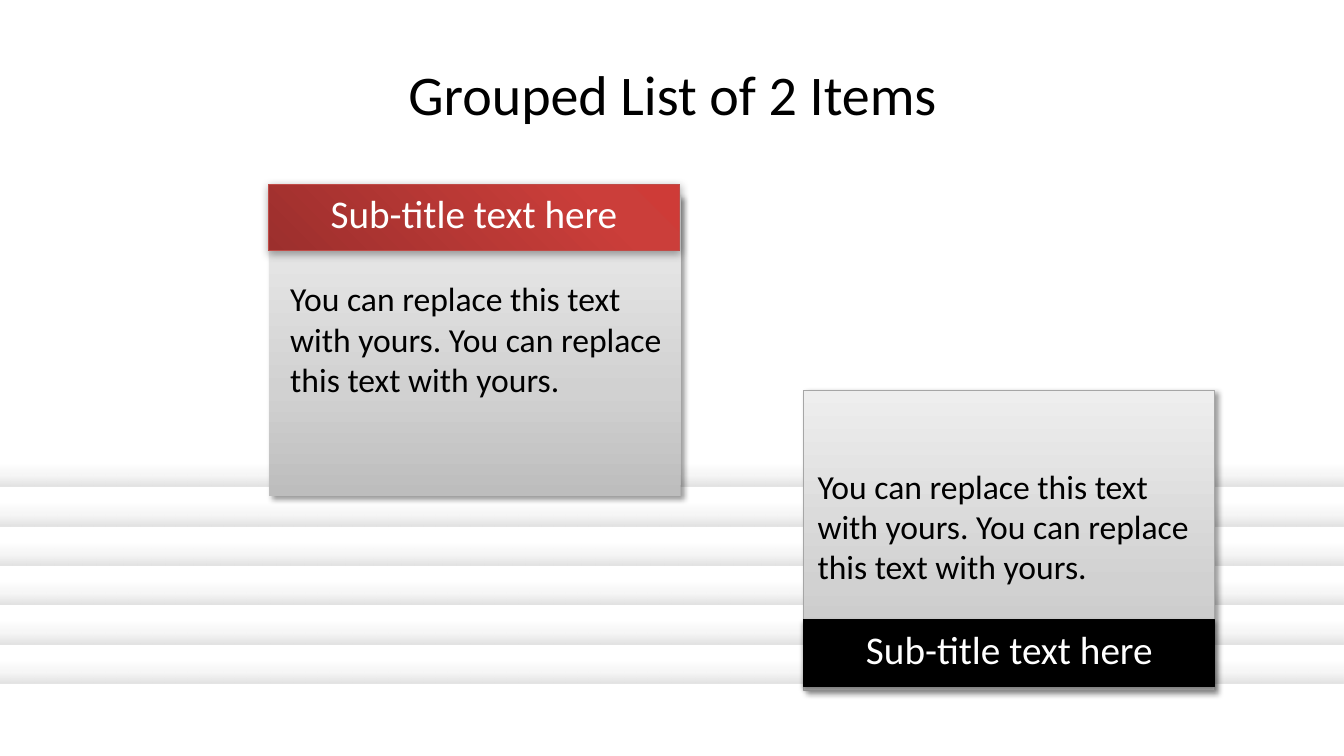
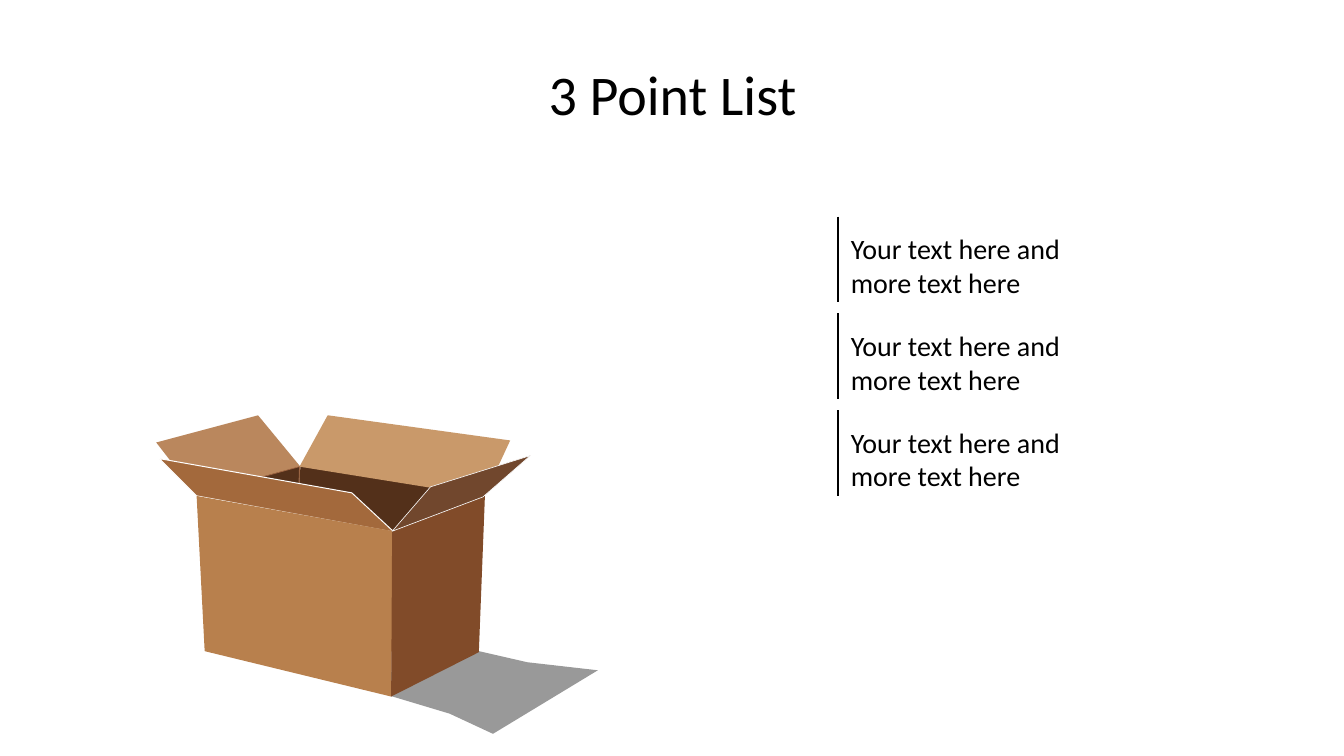
from lxml.etree import SubElement
from pptx import Presentation
from pptx.dml.color import RGBColor
from pptx.enum.shapes import MSO_CONNECTOR, MSO_SHAPE
from pptx.enum.text import MSO_ANCHOR, PP_ALIGN
from pptx.oxml.ns import qn
from pptx.util import Inches, Pt

COLORS = {
    "ink": "000000",
    "paper": "FFFFFF",
    "red_edge": "BF4C48",
    "panel_edge": "A6A6A6",
    "flap_back_left": "BA875D",
    "flap_back_right": "C9996A",
    "flap_front": "A3693C",
    "flap_side": "71472D",
    "flap_side_edge": "F8F8F8",
    "inside": "53301A",
    "crease": "A16644",
    "front": "B8804D",
    "side": "814B29",
    "floor_shadow": "999999",
}
STRIPE_STOPS = [(0, "D9D9D9", 81), (50, "F2F2F2", 68), (100, "FFFFFF", 100)]
PANEL_STOPS = [(0, "BDBDBD", 100), (35, "D1D1D1", 100), (100, "EEEEEE", 100)]
RED_STOPS = [(0, "9C2F2D", 100), (80, "CB3E3A", 100), (100, "CE3B37", 100)]

PANEL_SHADOW = {"alpha": 40, "blur": 4, "distance": 3, "angle": 45}
RED_SHADOW = {"alpha": 35, "blur": 6, "distance": 1.8, "angle": 90}
BLACK_SHADOW = {"alpha": 35, "blur": 3.1, "distance": 1.8, "angle": 90}

FONT = "Calibri"
CARD_WIDTH = 4.08
CARD_TEXT = "You can replace this text with yours. You can replace this text with yours."
POINT_TEXT = "Your text here and more text here"

BOX_BACK = [
    ("flap_back_left", None, 0,
     [(1.69, 4.57), (1.55, 4.39), (2.56, 4.12), (2.98, 4.63), (2.97, 4.81)]),
    ("inside", None, 0,
     [(2.98, 4.62), (2.97, 4.81), (3.49, 4.91), (3.89, 5.28), (4.35, 4.84)]),
    ("flap_back_right", None, 0,
     [(2.97, 4.63), (4.34, 4.85), (4.93, 4.65), (5.06, 4.37), (3.25, 4.12)]),
    ("inside", None, 0,
     [(2.97, 4.63), (2.97, 4.82), (2.67, 4.91), (2.45, 5.28), (2.19, 4.84)]),
    ("floor_shadow", None, 0,
     [(4.49, 6.4), (5.23, 6.57), (5.93, 6.65), (4.89, 7.28), (4.46, 7.08), (3.56, 6.81)]),
]
CREASES = [(1.96, 4.91), (2.96, 4.94)]
BOX_FRONT = [
    ("flap_front", "paper", 0.71,
     [(1.58, 4.55), (3.49, 4.89), (3.91, 5.28), (1.95, 4.92)]),
    ("front", None, 0, [(1.95, 4.92), (3.9, 5.27), (3.88, 6.91), (2.03, 6.46)]),
    ("side", None, 0, [(3.89, 5.27), (4.81, 4.92), (4.75, 6.47), (3.88, 6.91)]),
    ("flap_side", "flap_side_edge", 0.44,
     [(3.89, 5.27), (4.79, 4.93), (5.26, 4.52), (4.27, 4.83)]),
]


def rgb(name):
    return RGBColor.from_string(COLORS[name])


def add_color(parent, value, alpha):
    color = SubElement(parent, qn("a:srgbClr"), val=value)
    if alpha < 100:
        SubElement(color, qn("a:alpha"), val=str(alpha * 1000))


def set_gradient(shape, stops, angle):
    shape.fill.gradient()
    gradient = shape._element.spPr.find(qn("a:gradFill"))
    for child in list(gradient):
        gradient.remove(child)
    stop_list = SubElement(gradient, qn("a:gsLst"))
    for position, value, alpha in stops:
        stop = SubElement(stop_list, qn("a:gs"), pos=str(position * 1000))
        add_color(stop, value, alpha)
    SubElement(gradient, qn("a:lin"), ang=str(angle * 60000), scaled="0")


def set_shadow(shape, alpha, blur, distance, angle):
    effects = shape._element.spPr.find(qn("a:effectLst"))
    shadow = SubElement(effects, qn("a:outerShdw"), blurRad=str(Pt(blur)),
                        dist=str(Pt(distance)), dir=str(angle * 60000),
                        algn="ctr", rotWithShape="0")
    add_color(shadow, COLORS["ink"], alpha)


def set_line(shape, color, width):
    if color:
        shape.line.color.rgb = rgb(color)
        shape.line.width = Pt(width)
    else:
        shape.line.fill.background()


def write(frame, text, size=20, color="ink", align=PP_ALIGN.LEFT, anchor=MSO_ANCHOR.TOP):
    frame.word_wrap = True
    frame.vertical_anchor = anchor
    paragraph = frame.paragraphs[0]
    paragraph.alignment = align
    run = paragraph.add_run()
    run.text = text
    run.font.name = FONT
    run.font.size = Pt(size)
    run.font.color.rgb = rgb(color)


def add_text(slide, text, left, top, width, height, **style):
    label = slide.shapes.add_textbox(*map(Inches, (left, top, width, height)))
    write(label.text_frame, text, **style)


def add_title(slide, text):
    add_text(slide, text, 0.67, 0.3, 12, 1.25, size=40,
             align=PP_ALIGN.CENTER, anchor=MSO_ANCHOR.MIDDLE)


def add_block(slide, left, top, width, height, fill=None, stops=None, angle=270,
              edge=None, shadow=None):
    block = slide.shapes.add_shape(
        MSO_SHAPE.RECTANGLE, *map(Inches, (left, top, width, height)))
    block.shadow.inherit = False
    if stops:
        set_gradient(block, stops, angle)
    else:
        block.fill.solid()
        block.fill.fore_color.rgb = rgb(fill)
    set_line(block, edge, 0.75)
    if shadow:
        set_shadow(block, **shadow)
    return block


def add_card(slide, left, panel_top, bar_left, bar_top, text_left, text_top,
             text_width, panel_edge, **bar_style):
    add_block(slide, left, panel_top, CARD_WIDTH, 2.98, stops=PANEL_STOPS,
              edge=panel_edge, shadow=PANEL_SHADOW)
    bar = add_block(slide, bar_left, bar_top, CARD_WIDTH, 0.66, **bar_style)
    write(bar.text_frame, "Sub-title text here", size=28, color="paper",
          align=PP_ALIGN.CENTER)
    add_text(slide, CARD_TEXT, text_left, text_top, text_width, 1.31, size=24)


def add_line(slide, start, end, color, width):
    line = slide.shapes.add_connector(
        MSO_CONNECTOR.STRAIGHT, *map(Inches, (*start, *end)))
    set_line(line, color, width)
    SubElement(line._element.spPr, qn("a:effectLst"))


def add_outline(slide, fill, edge, edge_width, points):
    corners = [(Inches(x), Inches(y)) for x, y in points]
    builder = slide.shapes.build_freeform(*corners[0])
    builder.add_line_segments(corners[1:], close=True)
    face = builder.convert_to_shape()
    face.shadow.inherit = False
    face.fill.solid()
    face.fill.fore_color.rgb = rgb(fill)
    set_line(face, edge, edge_width)


def add_open_box(slide):
    for face in BOX_BACK:
        add_outline(slide, *face)
    for end in CREASES:
        add_line(slide, (2.97, 4.63), end, "crease", 0.44)
    for face in BOX_FRONT:
        add_outline(slide, *face)


def add_point(slide, top):
    add_line(slide, (8.31, top), (8.31, top + 0.85), "ink", 1)
    add_text(slide, POINT_TEXT, 8.34, top + 0.1, 2.6, 0.77)


def build_grouped_list(slide):
    for row in range(6):
        add_block(slide, 0, 4.61 + row * 0.39, 13.33, 0.22, stops=STRIPE_STOPS)
    add_title(slide, "Grouped List of 2 Items")
    add_card(slide, 2.67, 1.94, 2.66, 1.83, 2.78, 2.71, 3.88, None,
             stops=RED_STOPS, angle=315, edge="red_edge", shadow=RED_SHADOW)
    add_card(slide, 7.97, 3.87, 7.97, 6.15, 8.01, 4.57, 4.08, "panel_edge",
             fill="ink", edge="ink", shadow=BLACK_SHADOW)


def build_point_list(slide):
    add_title(slide, "3 Point List")
    add_open_box(slide)
    for row in range(3):
        add_point(slide, 2.15 + row * 0.96)


def main():
    deck = Presentation()
    deck.slide_width = Inches(13.33)
    deck.slide_height = Inches(7.5)
    for build in (build_grouped_list, build_point_list):
        build(deck.slides.add_slide(deck.slide_layouts[6]))
    deck.save("out.pptx")


if __name__ == "__main__":
    main()
